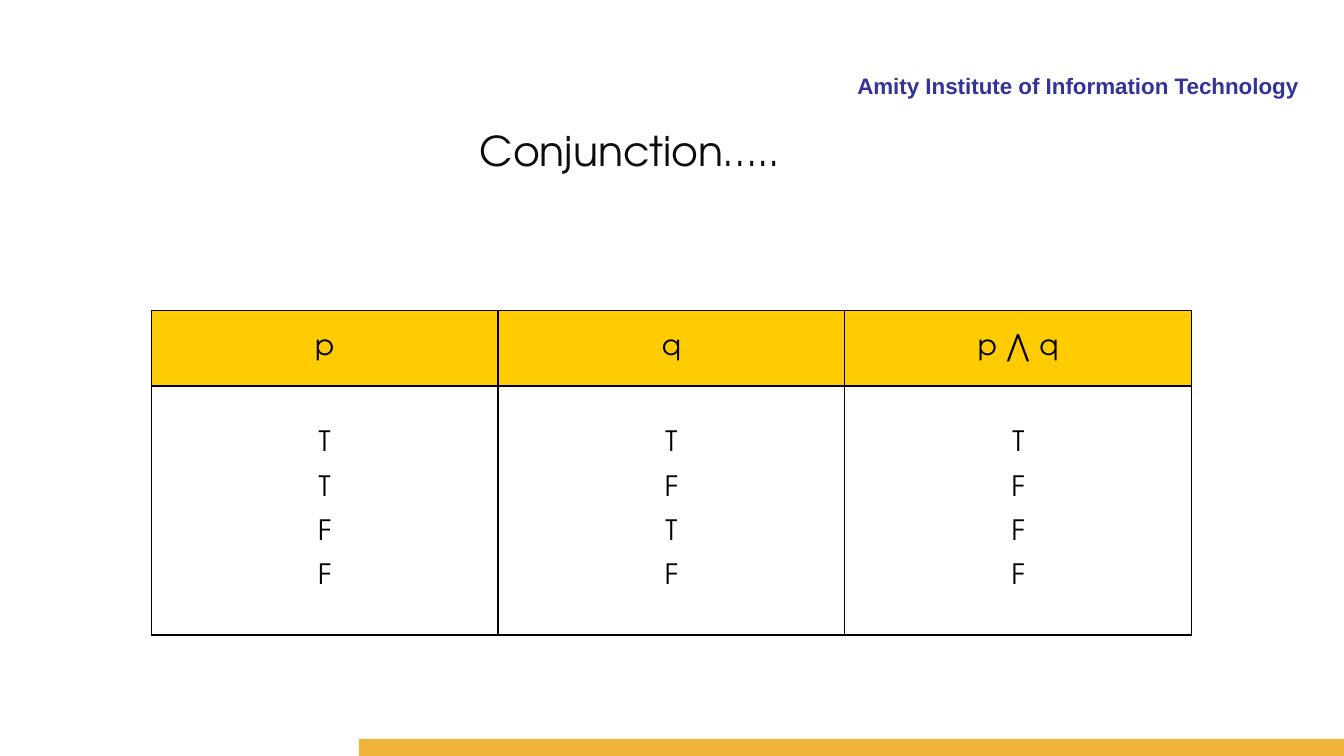
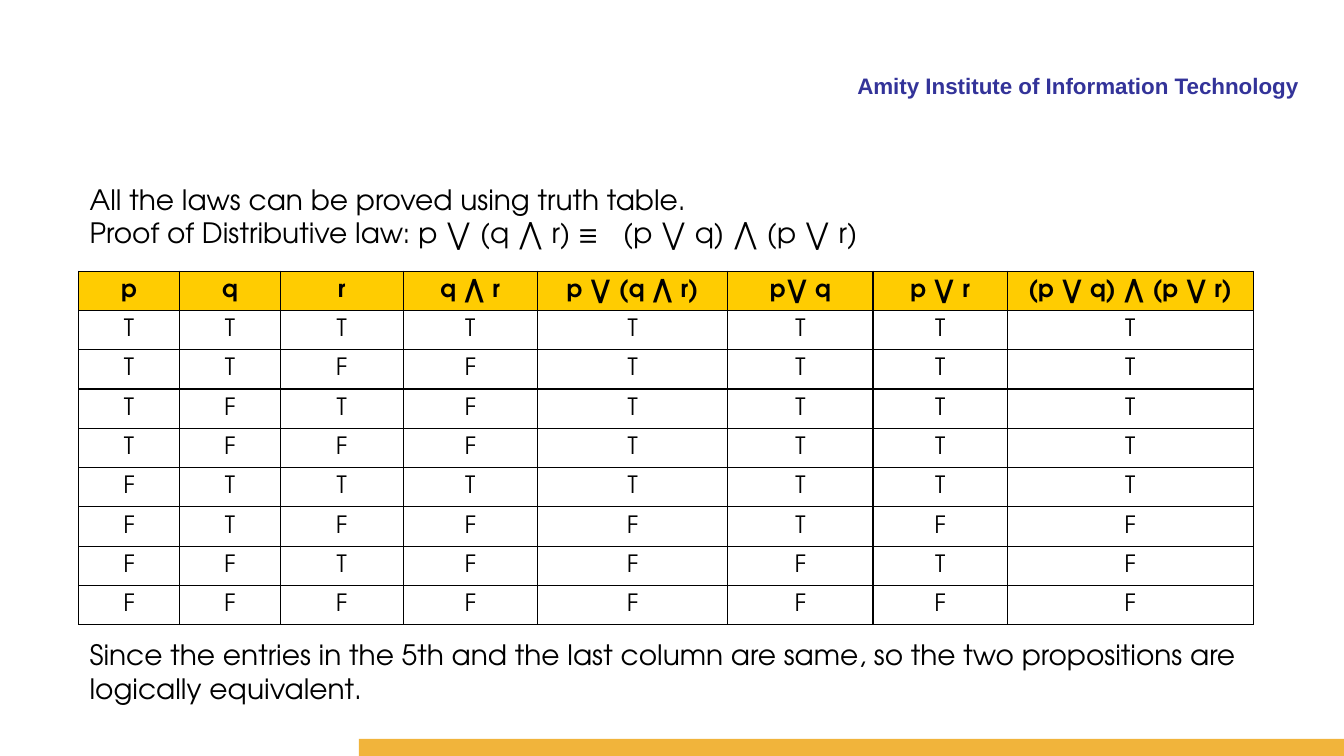
from itertools import product

from lxml import etree
from pptx import Presentation
from pptx.dml.color import RGBColor
from pptx.enum.shapes import MSO_SHAPE
from pptx.enum.text import MSO_ANCHOR, PP_ALIGN
from pptx.oxml.ns import qn
from pptx.util import Inches, Pt

RECTANGLE = MSO_SHAPE.RECTANGLE
MIDDLE = MSO_ANCHOR.MIDDLE
LEFT, CENTER, RIGHT = PP_ALIGN.LEFT, PP_ALIGN.CENTER, PP_ALIGN.RIGHT

COLORS = {
    "institute": "333399",
    "band": "F1B43B",
    "title": "0D0D0D",
    "text": "000000",
    "header": "FFCC01",
    "border": "000000",
}
BODY_FONT = "TeX Gyre Adventor"
INSTITUTE = {"name": "Arial", "size": Pt(16), "bold": True, "color": "institute"}
TITLE = {"name": BODY_FONT, "size": Pt(29.3), "color": "title"}
BODY = {"name": BODY_FONT, "size": Pt(20), "color": "text"}
CELL = {"name": BODY_FONT, "size": Pt(17), "bold": False, "color": "text"}
CELL_HEADER = {**CELL, "bold": True}
WIDE_MARGINS = {"margin_left": 0.16, "margin_right": 0.16, "margin_top": 0.07, "margin_bottom": 0.07}


def rgb(name):
    return RGBColor.from_string(COLORS[name])


def format_font(font, style):
    for name, value in style.items():
        if name == "color":
            font.color.rgb = rgb(value)
        else:
            setattr(font, name, value)


def add_tab_stop(para, position):
    stops = etree.SubElement(para._p.get_or_add_pPr(), qn("a:tabLst"))
    etree.SubElement(stops, qn("a:tab"), pos=str(Inches(position)), algn="l")


def add_text(page, box, lines, style, align=LEFT, wrap=True, tab=None):
    frame = page.shapes.add_textbox(*map(Inches, box)).text_frame
    frame.word_wrap = wrap
    frame.text = "\n".join(lines)
    for para in frame.paragraphs:
        para.alignment = align
        if tab and "\t" in para.text:
            add_tab_stop(para, tab)
        for span in para.runs:
            format_font(span.font, style)


def add_borders(cell):
    properties = cell._tc.get_or_add_tcPr()
    for side in ("a:lnL", "a:lnR", "a:lnT", "a:lnB"):
        line = etree.SubElement(properties, qn(side), w=str(Pt(1)))
        fill = etree.SubElement(line, qn("a:solidFill"))
        etree.SubElement(fill, qn("a:srgbClr"), val=COLORS["border"])


def fill_cell(cell, text, style, header, margins, gap):
    add_borders(cell)
    if header:
        cell.fill.solid()
        cell.fill.fore_color.rgb = rgb("header")
    else:
        cell.fill.background()
    cell.vertical_anchor = MIDDLE
    for name, value in margins.items():
        setattr(cell, name, Inches(value))
    cell.text = text
    for index, para in enumerate(cell.text_frame.paragraphs):
        para.alignment = CENTER
        if index:
            para.space_before = Pt(gap)
        for span in para.runs:
            format_font(span.font, style)


def add_truth_table(page, left, top, widths, heights, rows, styles, margins, gap=0):
    box = (left, top, sum(widths), sum(heights))
    table = page.shapes.add_table(len(rows), len(widths), *map(Inches, box)).table
    table.horz_banding = False
    table.first_row = False
    for column, width in zip(table.columns, widths):
        column.width = Inches(width)
    for row, height in zip(table.rows, heights):
        row.height = Inches(height)
    for row_index, texts in enumerate(rows):
        header = row_index == 0
        for column_index, text in enumerate(texts):
            cell = table.cell(row_index, column_index)
            fill_cell(cell, text, styles[0 if header else 1], header, margins, gap)


def truth_rows(count, formula):
    return [["T" if value else "F" for value in formula(*inputs)]
            for inputs in product((True, False), repeat=count)]


def add_page(deck):
    page = deck.slides.add_slide(deck.slide_layouts[6])
    add_text(page, (5.09, 0.67, 7.89, 0.33), ["Amity Institute of Information Technology"],
             INSTITUTE, RIGHT)
    band = page.shapes.add_shape(RECTANGLE, *map(Inches, (3.56, 7.33, 9.78, 0.17)))
    band.shadow.inherit = False
    band.fill.solid()
    band.fill.fore_color.rgb = rgb("band")
    band.line.fill.background()
    return page


def add_conjunction_page(deck):
    page = add_page(deck)
    add_text(page, (4.66, 1.2, 3.29, 0.59), ["Conjunction….."], TITLE, wrap=False)
    values = truth_rows(2, lambda p, q: (p, q, p and q))
    stacked = ["\n".join(column) for column in zip(*values)]
    add_truth_table(page, 1.5, 3.08, [3.44] * 3, [0.75, 2.47],
                    [["p", "q", "p ⋀ q"], stacked], (BODY, BODY), WIDE_MARGINS, gap=13)


def add_distributive_page(deck):
    page = add_page(deck)
    add_text(page, (0.79, 1.76, 11.65, 0.77),
             ["All the laws can be proved using truth table.",
              "Proof of Distributive law: p ⋁ (q ⋀ r) ≡\t(p ⋁ q) ⋀ (p ⋁ r)"],
             BODY, tab=5.29)
    header = ["p", "q", "r", "q ⋀ r", "p ⋁ (q ⋀ r)", "p⋁ q", "p ⋁ r", "(p ⋁ q) ⋀ (p ⋁ r)"]
    values = truth_rows(3, lambda p, q, r: (
        p, q, r, q and r, p or (q and r), p or q, p or r, (p or q) and (p or r)))
    add_truth_table(page, 0.78, 2.69, [1, 1, 1.22, 1.33, 1.89, 1.44, 1.33, 2.44],
                    [0.39] * 9, [header, *values], (CELL_HEADER, CELL), {})
    add_text(page, (0.79, 6.28, 11.65, 0.77),
             ["Since the entries in the 5th and the last column are same, "
              "so the two propositions are logically equivalent."], BODY)


def main():
    deck = Presentation()
    deck.slide_width = Inches(13.33)
    deck.slide_height = Inches(7.5)
    add_conjunction_page(deck)
    add_distributive_page(deck)
    deck.save("out.pptx")


if __name__ == "__main__":
    main()
